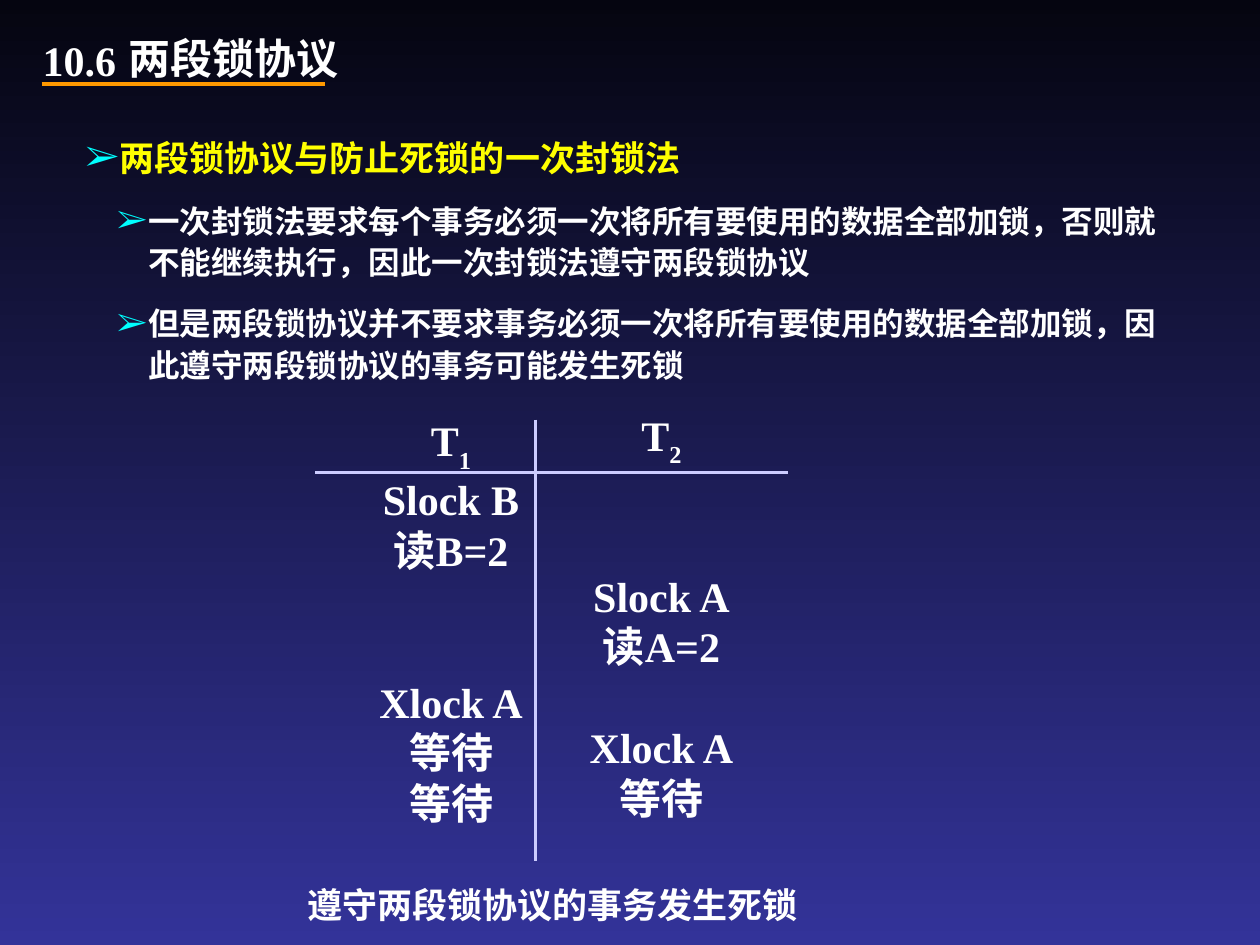
from lxml.etree import SubElement
from pptx import Presentation
from pptx.dml.color import RGBColor
from pptx.enum.shapes import MSO_CONNECTOR as Connector
from pptx.enum.text import MSO_ANCHOR as Anchor, MSO_AUTO_SIZE as AutoSize, PP_ALIGN as Align
from pptx.oxml.ns import qn
from pptx.util import Inches, Pt

COLORS = {
    "top": "050510", "bottom": "333399", "text": "FFFFFF", "heading": "FFFF00",
    "bullet": "00FFFF", "underline": "FF9900", "grid": "CCCCFF",
}
CJK, SERIF, BODY = "Noto Sans CJK SC", "Times New Roman", "Karla"


def rgb(name):
    return RGBColor.from_string(COLORS[name])


class SlideBuilder:
    def __init__(self, slide):
        self.slide = slide

    def background(self):
        fill = self.slide.background.fill
        fill.gradient()
        fill.gradient_angle = 270
        for stop, name in zip(fill.gradient_stops, ("top", "bottom")):
            stop.color.rgb = rgb(name)

    def line(self, start, end, color):
        ends = [Inches(value) for value in (*start, *end)]
        line = self.slide.shapes.add_connector(Connector.STRAIGHT, *ends)
        line.line.color.rgb = rgb(color)
        line.line.width = Pt(2.25)
        SubElement(line._element.spPr, qn("a:effectLst"))

    def box(self, left, top, width, height, anchor=Anchor.TOP, wrap=True):
        place = [Inches(value) for value in (left, top, width, height)]
        frame = self.slide.shapes.add_textbox(*place).text_frame
        frame.word_wrap = wrap
        frame.vertical_anchor = anchor
        return frame

    def paragraph(self, frame, text, size, font, color="text", align=Align.LEFT,
                  before=0, spacing=1.0, first=False):
        para = frame.paragraphs[0] if first else frame.add_paragraph()
        para.alignment = align
        para.space_before = Pt(before)
        para.line_spacing = spacing
        self.span(para, text, size, font, color)
        return para

    def span(self, para, text, size, font, color="text", subscript=False):
        span = para.add_run()
        span.text = text
        span.font.size = Pt(size)
        span.font.bold = True
        span.font.name = font
        span.font.color.rgb = rgb(color)
        properties = span.font._element
        SubElement(properties, qn("a:ea"), typeface=CJK)
        if subscript:
            properties.set("baseline", "-30000")

    def bullet(self, para, level):
        """Hang an arrow bullet a quarter inch left of the text."""
        step = Inches(0.25)
        properties = para._p.get_or_add_pPr()
        properties.set("lvl", str(level))
        properties.set("marL", str(step * (level + 1)))
        properties.set("indent", str(-step))
        color = SubElement(properties, qn("a:buClr"))
        SubElement(color, qn("a:srgbClr"), val=COLORS["bullet"])
        SubElement(properties, qn("a:buSzPct"), val="105000")
        SubElement(properties, qn("a:buFont"), typeface=SERIF)
        SubElement(properties, qn("a:buChar"), char="➢")

    def transaction(self, number, left, top, steps):
        """Draw one schedule column; each step is (text, space before)."""
        frame = self.box(left, top, 1.34, 3.8, wrap=False)
        header = self.paragraph(frame, "T", 24, SERIF, align=Align.CENTER, first=True)
        self.span(header, number, 24, SERIF, subscript=True)
        for text, before in steps:
            self.paragraph(frame, text, 24, SERIF, align=Align.CENTER, before=before)


def main():
    deck = Presentation()
    deck.slide_width, deck.slide_height = Inches(10), Inches(7.5)
    page = SlideBuilder(deck.slides.add_slide(deck.slide_layouts[6]))
    page.background()

    title = page.box(0.92, 0.17, 3.67, 0.58, Anchor.MIDDLE)
    page.paragraph(title, "两段锁协议", 24, CJK, first=True)
    section = page.box(0.17, 0.31, 0.92, 0.33, Anchor.MIDDLE)
    page.paragraph(section, "10.6", 24, SERIF, align=Align.CENTER, first=True)
    page.line((0.33, 0.67), (2.58, 0.67), "underline")

    body = page.box(0.58, 1, 8.92, 2.1)
    heading = page.paragraph(body, "两段锁协议与防止死锁的一次封锁法", 20, BODY,
                             "heading", before=12.5, spacing=1.1, first=True)
    page.bullet(heading, 0)
    for point in (
        "一次封锁法要求每个事务必须一次将所有要使用的数据全部加锁，否则就不能继续执行，因此一次封锁法遵守两段锁协议",
        "但是两段锁协议并不要求事务必须一次将所有要使用的数据全部加锁，因此遵守两段锁协议的事务可能发生死锁",
    ):
        para = page.paragraph(body, point, 18, BODY, before=11.2, spacing=1.1)
        page.bullet(para, 1)

    page.transaction("1", 2.91, 3.24, [
        ("Slock B", 0), ("读B=2", 0), ("Xlock A", 58), ("等待", 0), ("等待", 0)])
    page.transaction("2", 4.58, 3.2, [
        ("Slock A", 58), ("读A=2", 0), ("Xlock A", 29), ("等待", 0)])
    page.line((2.5, 3.75), (6.25, 3.75), "grid")
    page.line((4.25, 3.33), (4.25, 6.83), "grid")

    caption = page.box(2.34, 7, 4.2, 0.4)
    caption.auto_size = AutoSize.SHAPE_TO_FIT_TEXT
    page.paragraph(caption, "遵守两段锁协议的事务发生死锁", 20, BODY,
                   before=12.5, spacing=0.9, first=True)
    deck.save("out.pptx")


if __name__ == "__main__":
    main()
